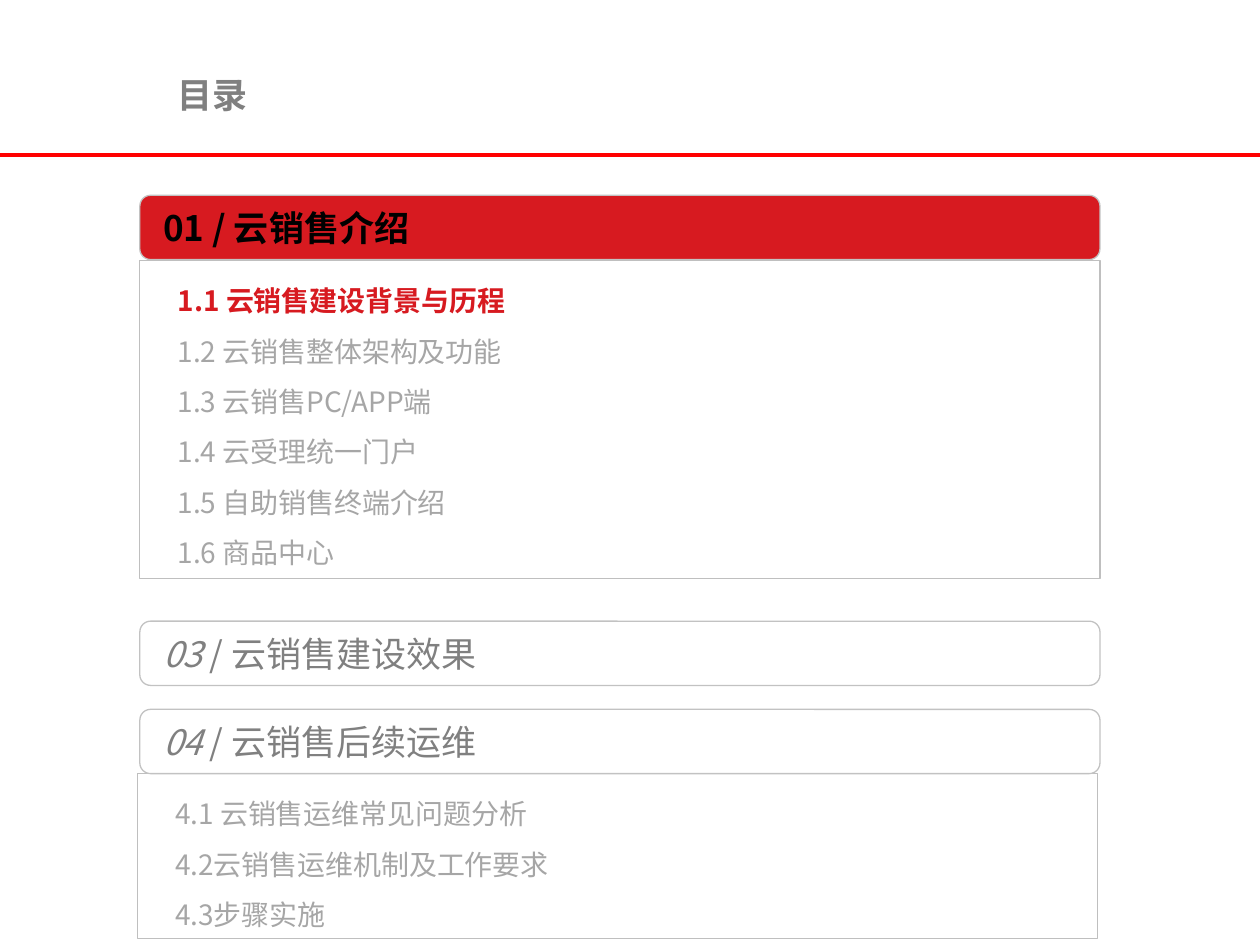
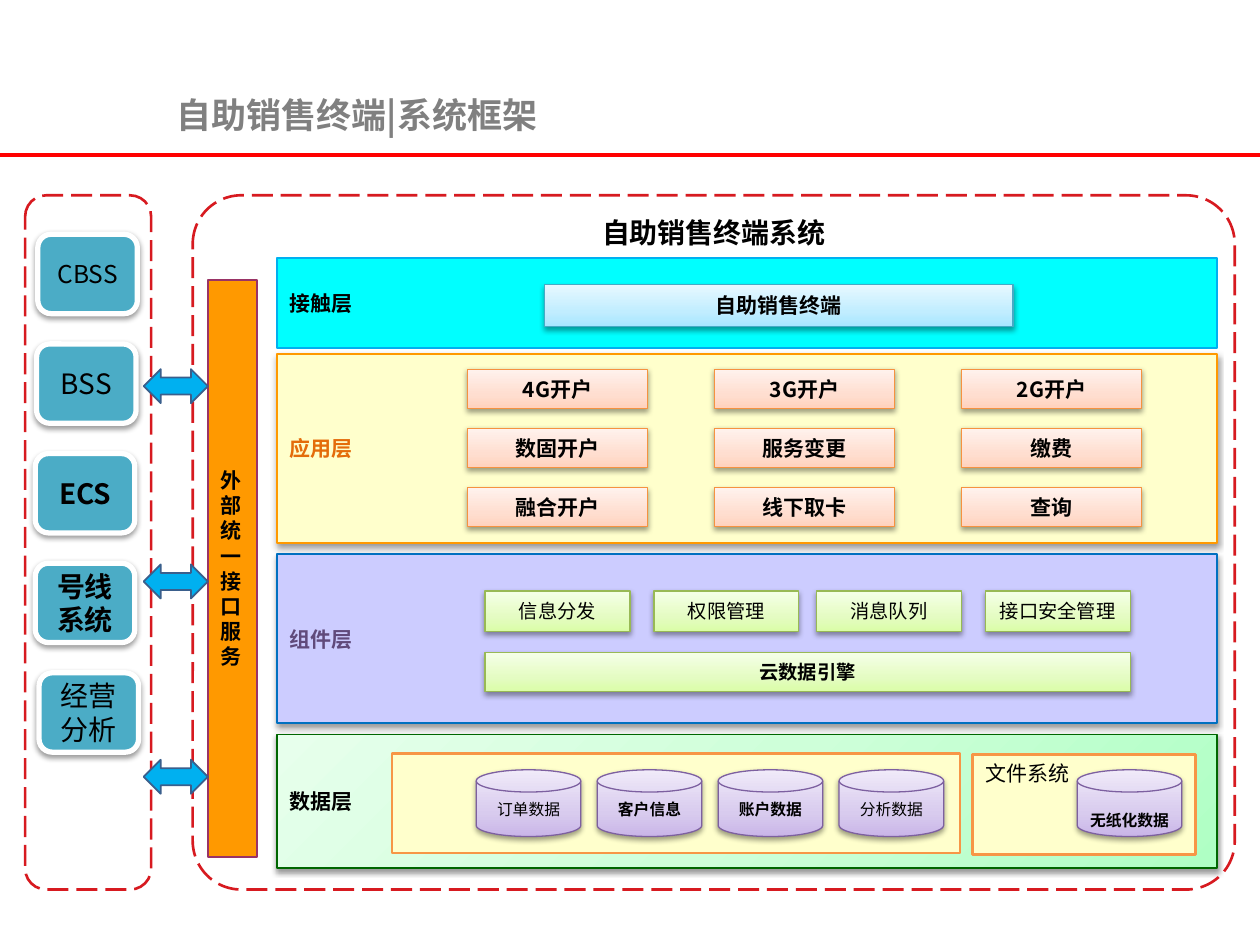
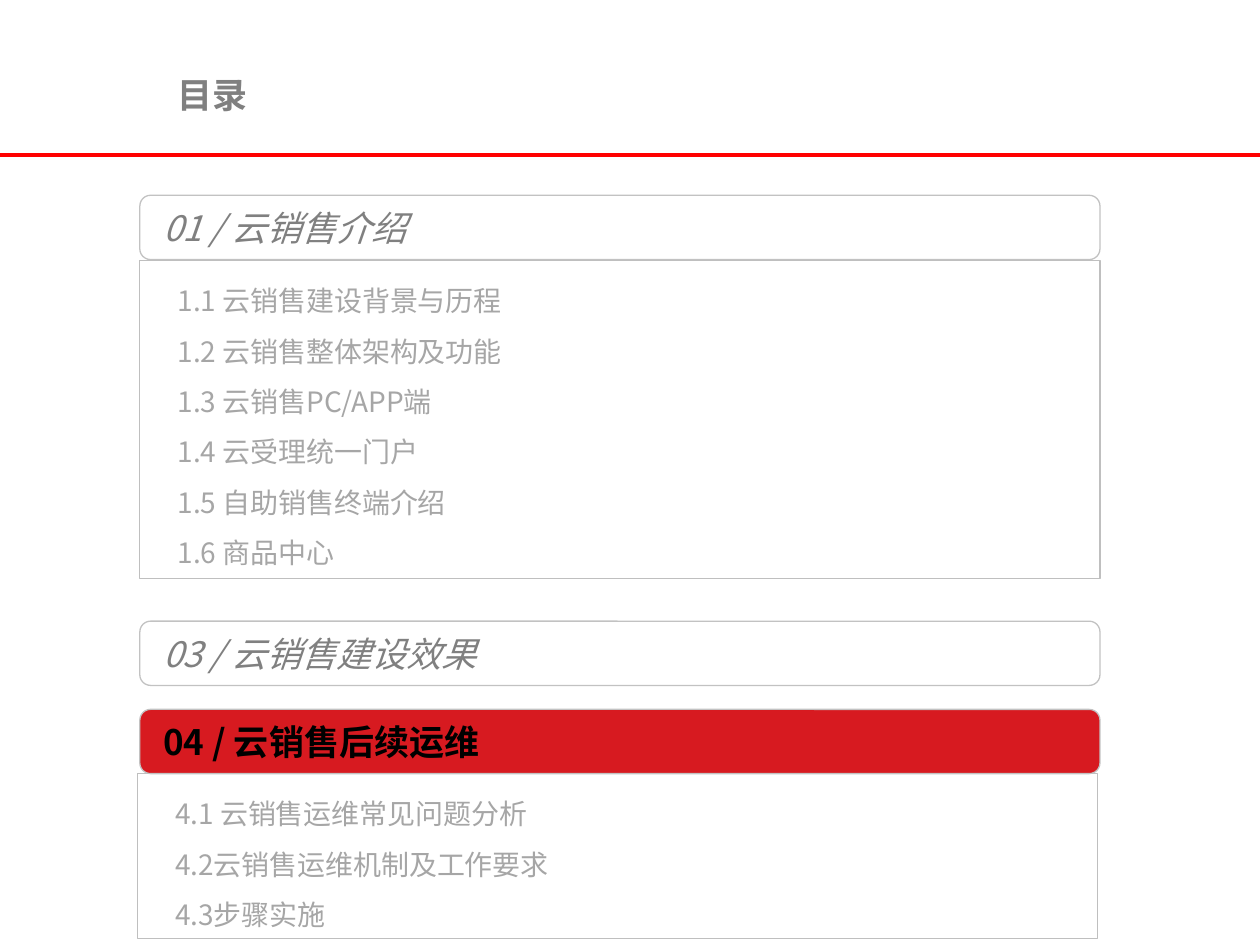
from lxml import etree
from pptx import Presentation
from pptx.dml.color import RGBColor
from pptx.enum.dml import MSO_LINE
from pptx.enum.shapes import MSO_CONNECTOR, MSO_SHAPE
from pptx.enum.text import MSO_ANCHOR, MSO_AUTO_SIZE, PP_ALIGN
from pptx.oxml.ns import qn
from pptx.util import Inches, Pt

RECTANGLE = MSO_SHAPE.RECTANGLE
ROUNDED = MSO_SHAPE.ROUNDED_RECTANGLE
DISK = MSO_SHAPE.FLOWCHART_MAGNETIC_DISK
DOUBLE_ARROW = MSO_SHAPE.LEFT_RIGHT_ARROW
STRAIGHT = MSO_CONNECTOR.STRAIGHT
LONG_DASH = MSO_LINE.LONG_DASH
TOP, MIDDLE = MSO_ANCHOR.TOP, MSO_ANCHOR.MIDDLE
LEFT, CENTER = PP_ALIGN.LEFT, PP_ALIGN.CENTER
FIXED_SIZE = MSO_AUTO_SIZE.NONE

TWO_LISTS_LAYOUT, TITLE_LAYOUT = 3, 5
FONT = "Noto Sans CJK SC"
COLORS = {
    "rule": "FF0000", "brand": "D71A20", "title": "808080", "muted": "A6A6A6",
    "header_line": "C2C2C2", "list_line": "BFBFBF", "white": "FFFFFF", "black": "000000",
    "contact": "00FFFF", "contact_line": "00B0F0",
    "cream": "FFFFCC", "orange": "FF9900", "application_text": "E46C0A",
    "component": "CCCCFF", "component_line": "0070C0", "component_text": "604A7B",
    "data_line": "006600", "store_line": "F79646", "interface_line": "993366",
    "system": "4BACC6", "arrow": "00B0F0", "arrow_line": "3A5F8C",
    "terminal_line": "46AAC5", "service_line": "F69240",
    "module_line": "98B955", "disk_line": "7D60A0",
}
# Each gradient: counter-clockwise angle, then (percent, colour) stops
GRADIENTS = {
    "data": (135, [(0, "AFFFC4"), (50, "CEFFD9"), (100, "E7FFEC")]),
    "terminal": (90, [(0, "A7E6FF"), (35, "C1EDFF"), (100, "E7F8FF")]),
    "service": (90, [(0, "FFD2BD"), (35, "FFDED0"), (100, "FFF2ED")]),
    "module": (90, [(0, "DAFDA7"), (35, "E4FCC2"), (100, "F5FFE7")]),
    "disk": (90, [(0, "C9B5E8"), (35, "D8CBEE"), (100, "F0EAF9")]),
}
SECTIONS = {
    "01": ("云销售介绍", 1.55),
    "03": ("云销售建设效果", 4.93),
    "04": ("云销售后续运维", 5.63),
}
TOPIC_LISTS = [
    ((1.11, 2.07, 7.62, 2.52),
     ["1.1 云销售建设背景与历程", "1.2 云销售整体架构及功能", "1.3 云销售PC/APP端",
      "1.4 云受理统一门户", "1.5 自助销售终端介绍", "1.6 商品中心"]),
    ((1.09, 6.14, 7.62, 1.31),
     ["4.1 云销售运维常见问题分析", "4.2云销售运维机制及工作要求", "4.3步骤实施"]),
]


def rgb(name):
    return RGBColor.from_string(COLORS[name])


def place(shape, box):
    for name, value in zip(("left", "top", "width", "height"), box):
        setattr(shape, name, Inches(value))


def add_run(paragraph, text, size, color="black", **font_format):
    run = paragraph.add_run()
    run.text = text
    values = {"name": FONT, "size": Pt(size), **font_format}
    for name, value in values.items():
        setattr(run.font, name, value)
    run.font.color.rgb = rgb(color)
    etree.SubElement(run._r.rPr, qn("a:ea"), typeface=FONT)


def set_gradient(shape, name):
    angle, stops = GRADIENTS[name]
    shape.fill.gradient()
    shape.fill.gradient_angle = angle
    stop_list = shape.element.spPr.find(".//" + qn("a:gsLst"))
    for stop in list(stop_list):
        stop_list.remove(stop)
    for percent, color in stops:
        stop = etree.SubElement(stop_list, qn("a:gs"), pos=str(percent * 1000))
        etree.SubElement(stop, qn("a:srgbClr"), val=color)


def add_soft_shadow(shape):
    effects = shape.element.spPr.find(qn("a:effectLst"))
    shadow = etree.SubElement(effects, qn("a:outerShdw"), blurRad="40000", dist="20000",
                              dir="5400000", rotWithShape="0")
    color = etree.SubElement(shadow, qn("a:srgbClr"), val=COLORS["black"])
    etree.SubElement(color, qn("a:alpha"), val="38000")


def add_box(slide, box, fill, line, width=0.75, kind=RECTANGLE, dash=None, shadow=False):
    shape = slide.shapes.add_shape(kind, *map(Inches, box))
    shape.shadow.inherit = False
    if fill is None:
        shape.fill.background()
    elif fill in GRADIENTS:
        set_gradient(shape, fill)
    else:
        shape.fill.solid()
        shape.fill.fore_color.rgb = rgb(fill)
    shape.line.color.rgb = rgb(line)
    shape.line.width = Pt(width)
    if dash:
        shape.line.dash_style = dash
    if shadow:
        add_soft_shadow(shape)
    return shape


def label(shape, text, size=12, align=CENTER, anchor=MIDDLE, **font_format):
    shape.text_frame.vertical_anchor = anchor
    paragraph = shape.text_frame.paragraphs[0]
    paragraph.alignment = align
    add_run(paragraph, text, size, **font_format)


def add_titled_slide(presentation, layout, title, box):
    slide = presentation.slides.add_slide(presentation.slide_layouts[layout])
    place(slide.shapes.title, box)
    slide.shapes.title.text_frame.auto_size = FIXED_SIZE
    label(slide.shapes.title, title, 20, LEFT, color="title", bold=True)
    return slide


def add_master_rule(presentation, slide):
    """Draw the red rule and move it to the master, so every slide shows it."""
    rule = slide.shapes.add_connector(STRAIGHT, 0, Inches(1.23), Inches(10), Inches(1.23))
    rule.line.color.rgb = rgb("rule")
    rule.line.width = Pt(2)
    etree.SubElement(rule.element.spPr, qn("a:effectLst"))
    presentation.slide_master.shapes.element.append(rule.element)


def add_section_header(slide, number, is_current, slanted_name):
    name, top = SECTIONS[number]
    shape = add_box(slide, (1.11, top, 7.62, 0.51), "brand" if is_current else "white",
                    "header_line", kind=ROUNDED)
    shape.text_frame.margin_left = Inches(0.16)
    if is_current:
        label(shape, f"{number} / {name}", 20, LEFT, bold=True)
    else:
        label(shape, f"{number} ", 20, LEFT, color="title", italic=True)
        add_run(shape.text_frame.paragraphs[0], f"/ {name}", 20, "title", italic=slanted_name)


def fill_topic_list(placeholder, box, topics, current_topic):
    place(placeholder, box)
    placeholder.line.color.rgb = rgb("list_line")
    placeholder.line.width = Pt(0.75)
    frame = placeholder.text_frame
    frame.auto_size = FIXED_SIZE
    frame.vertical_anchor = TOP
    for index, topic in enumerate(topics):
        paragraph = frame.add_paragraph() if index else frame.paragraphs[0]
        properties = paragraph._p.get_or_add_pPr()
        properties.set("marL", str(Inches(0.2)))
        properties.set("indent", "0")
        etree.SubElement(properties, qn("a:buNone"))
        paragraph.line_spacing = 1.5
        paragraph.space_before = Pt(0)
        is_current = topic == current_topic
        add_run(paragraph, topic, 16, "brand" if is_current else "muted", bold=is_current)


def add_agenda(presentation, current, current_topic=None, slanted_names=True):
    slide = add_titled_slide(presentation, TWO_LISTS_LAYOUT, "目录", (1.31, 0.44, 6.52, 0.62))
    for number in SECTIONS:
        add_section_header(slide, number, number == current, slanted_names)
    for index, (box, topics) in enumerate(TOPIC_LISTS, start=1):
        fill_topic_list(slide.placeholders[index], box, topics, current_topic)
    return slide


def add_layer(slide, top, height, text, fill, line, color="black", shadow=True):
    layer = add_box(slide, (2.2, top, 7.46, height), fill, line, 1, shadow=shadow)
    label(layer, text, align=LEFT, color=color, bold=True)


def add_node(slide, box, text, style, size=12, bold=True):
    node = add_box(slide, box, style, f"{style}_line", shadow=True)
    label(node, text, size, bold=bold)


def add_disk(slide, left, text, bold, top_margin=0.05, bottom_margin=0.05):
    disk = add_box(slide, (left, 6.11, 0.83, 0.53), "disk", "disk_line", kind=DISK, shadow=True)
    margins = {"left": 0.05, "right": 0.05, "top": top_margin, "bottom": bottom_margin}
    for side, value in margins.items():
        setattr(disk.text_frame, f"margin_{side}", Inches(value))
    label(disk, text, 9, bold=bold)


def add_application_layer(slide):
    add_layer(slide, 2.81, 1.5, "应用层", "cream", "orange", "application_text")
    services = [["4G开户", "3G开户", "2G开户"],
                ["数固开户", "服务变更", "缴费"],
                ["融合开户", "线下取卡", "查询"]]
    for row, names in enumerate(services):
        for column, name in enumerate(names):
            box = (3.71 + 1.96 * column, 2.93 + 0.47 * row, 1.43, 0.31)
            add_node(slide, box, name, "service")


def add_component_layer(slide):
    add_layer(slide, 4.4, 1.34, "组件层", "component", "component_line", "component_text")
    modules = {"信息分发": 3.85, "权限管理": 5.19, "消息队列": 6.48, "接口安全管理": 7.82}
    for name, left in modules.items():
        add_node(slide, (left, 4.69, 1.15, 0.32), name, "module", 11, False)
    add_node(slide, (3.85, 5.18, 5.12, 0.31), "云数据引擎", "module", 11)


def add_data_layer(slide):
    add_layer(slide, 5.83, 1.06, "数据层", "data", "data_line")
    add_box(slide, (3.11, 5.98, 4.51, 0.79), "cream", "store_line", 1.5)
    disks = [("订单数据", False), ("客户信息", True), ("账户数据", True), ("分析数据", False)]
    for index, (name, bold) in enumerate(disks):
        add_disk(slide, 3.78 + 0.96 * index, name, bold)
    files = add_box(slide, (7.72, 5.99, 1.77, 0.79), "cream", "store_line", 1.5)
    label(files, "文件系统", align=LEFT, anchor=TOP)
    add_disk(slide, 8.55, "无纸化数据", True, 0.18, 0)


def add_external_systems(slide):
    add_box(slide, (0.2, 1.55, 1, 5.51), "white", "brand", 1.5, ROUNDED, LONG_DASH)
    systems = [("CBSS", 0.3, 14, False), ("BSS", 0.29, 16, False), ("ECS", 0.28, 16, True),
               ("号线系统", 0.28, 16, True), ("经营分析", 0.31, 16, False)]
    for index, (name, left, size, bold) in enumerate(systems):
        system = add_box(slide, (left, 1.86 + 0.87 * index, 0.79, 0.63), "system", "white", 3,
                         ROUNDED, shadow=True)
        label(system, name, size, bold=bold)
    for index in range(3):
        add_box(slide, (1.14, 2.93 + 1.55 * index, 0.51, 0.27), "arrow", "arrow_line", 1,
                DOUBLE_ARROW)


def add_framework(presentation):
    slide = add_titled_slide(presentation, TITLE_LAYOUT, "自助销售终端|系统框架",
                             (1.3, 0.68, 6.93, 0.45))
    add_application_layer(slide)
    add_data_layer(slide)
    add_component_layer(slide)
    add_layer(slide, 2.05, 0.71, "接触层", "contact", "contact_line", shadow=False)
    add_node(slide, (4.32, 2.26, 3.72, 0.33), "自助销售终端", "terminal")
    interface = add_box(slide, (1.65, 2.22, 0.39, 4.58), "orange", "interface_line", 1)
    label(interface, "外部统一接口服务", align=LEFT, bold=True)
    boundary = add_box(slide, (1.53, 1.55, 8.27, 5.51), None, "brand", 1.5, ROUNDED, LONG_DASH)
    boundary.adjustments[0] = 0.07
    label(boundary, "自助销售终端系统", 16, anchor=TOP, bold=True)
    add_external_systems(slide)


def main():
    presentation = Presentation()
    presentation.slide_width, presentation.slide_height = Inches(10), Inches(7.5)
    first_slide = add_agenda(presentation, "01", "1.1 云销售建设背景与历程", slanted_names=False)
    add_master_rule(presentation, first_slide)
    add_framework(presentation)
    add_agenda(presentation, "04")
    presentation.save("out.pptx")


if __name__ == "__main__":
    main()
